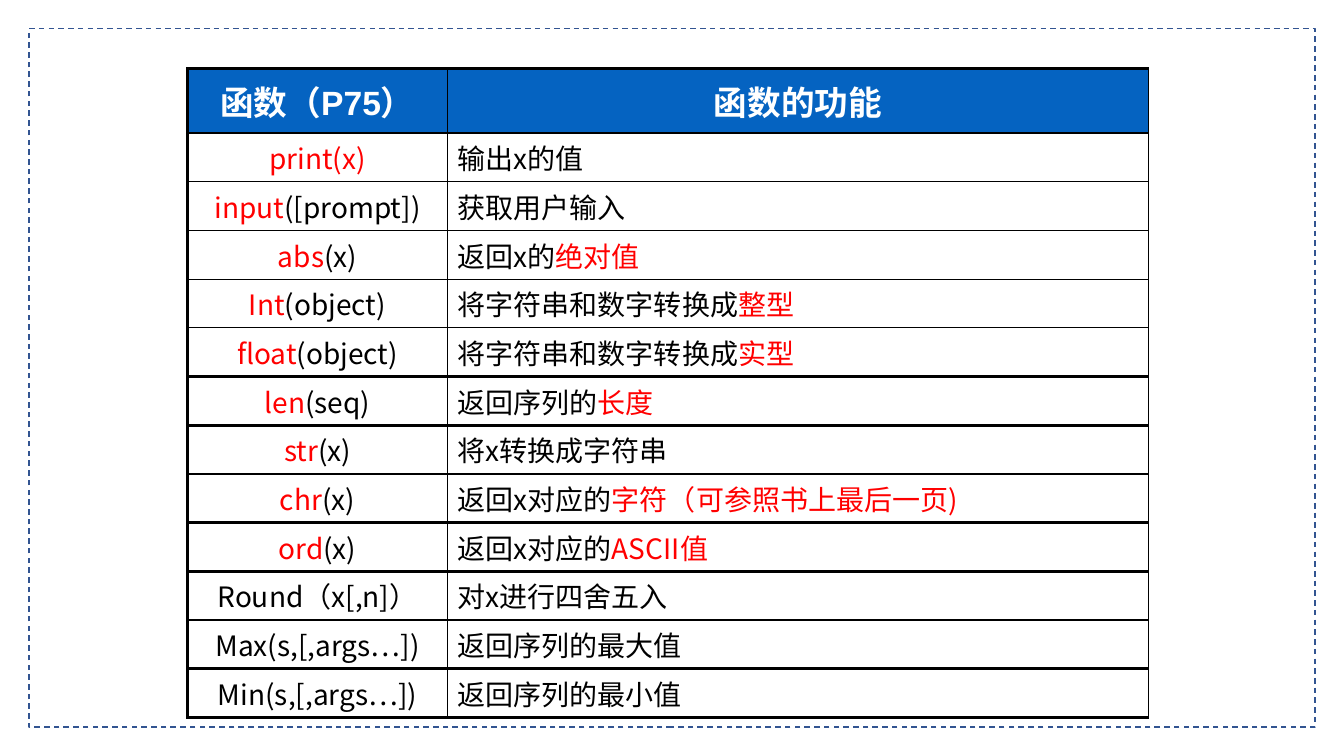
"""Build a slide with a framed table of built-in functions and what they do."""
import pptx
import pptx.dml.color
import pptx.enum.dml
import pptx.enum.shapes
import pptx.enum.text
import pptx.oxml.ns
import pptx.util
from lxml import etree

RGBColor = pptx.dml.color.RGBColor
BLACK = RGBColor(0x00, 0x00, 0x00)
WHITE = RGBColor(0xFF, 0xFF, 0xFF)
RED = RGBColor(0xFF, 0x00, 0x00)
HEADER_BLUE = RGBColor(0x05, 0x63, 0xC1)
FRAME_BLUE = RGBColor(0x32, 0x54, 0x91)

THIN, THICK = 1, 2.25
FIRST_THICK_RULE = 6

HEADINGS = ("函数（P75）", "函数的功能")
FUNCTIONS = [
    ("print(x)", "", "输出x的值", ""),
    ("input", "([prompt])", "获取用户输入", ""),
    ("abs", "(x)", "返回x的", "绝对值"),
    ("Int", "(object)", "将字符串和数字转换成", "整型"),
    ("float", "(object)", "将字符串和数字转换成", "实型"),
    ("len", "(seq)", "返回序列的", "长度"),
    ("str", "(x)", "将x转换成字符串", ""),
    ("chr", "(x)", "返回x对应的", "字符（可参照书上最后一页)"),
    ("ord", "(x)", "返回x对应的", "ASCII值"),
    ("", "Round（x[,n]）", "对x进行四舍五入", ""),
    ("", "Max(s,[,args…])", "返回序列的最大值", ""),
    ("", "Min(s,[,args…])", "返回序列的最小值", ""),
]


def add_child(parent, tag, **attributes):
    return etree.SubElement(parent, pptx.oxml.ns.qn(tag), attributes)


class SlideBuilder:
    heading_font = "Arial"
    body_font = "Noto Sans CJK SC"
    heading_size = 24
    body_size = 20

    def __init__(self, deck):
        self.width, self.height = deck.slide_width, deck.slide_height
        self.slide = deck.slides.add_slide(deck.slide_layouts[6])

    def across(self, percent):
        return round(self.width * percent / 100)

    def down(self, percent):
        return round(self.height * percent / 100)

    def frame(self, left, top):
        box = self.slide.shapes.add_shape(
            pptx.enum.shapes.MSO_SHAPE.RECTANGLE,
            self.across(left), self.down(top),
            self.across(100 - 2 * left), self.down(100 - 2 * top))
        box.shadow.inherit = False
        box.fill.background()
        box.line.color.rgb = FRAME_BLUE
        box.line.width = pptx.util.Pt(1)
        box.line.dash_style = pptx.enum.dml.MSO_LINE.DASH

    def table(self, left, top, columns, rows):
        table = self.slide.shapes.add_table(
            len(rows), len(columns), self.across(left), self.down(top),
            self.across(sum(columns)), self.down(sum(rows))).table
        table.first_row = table.horz_banding = False
        for column, share in zip(table.columns, columns):
            column.width = self.across(share)
        for row, share in zip(table.rows, rows):
            row.height = self.down(share)
        return table

    def borders(self, cell, left, right, top, bottom):
        properties = cell._tc.get_or_add_tcPr()
        for side, points in zip("LRTB", (left, right, top, bottom)):
            line = add_child(properties, f"a:ln{side}", w=str(pptx.util.Pt(points)))
            add_child(add_child(line, "a:solidFill"), "a:srgbClr", val=str(BLACK))

    def text(self, cell, spans, centred, heading):
        cell.margin_left = cell.margin_right = pptx.util.Inches(0.1)
        cell.margin_top = cell.margin_bottom = pptx.util.Inches(0.04)
        para = cell.text_frame.paragraphs[0]
        align = pptx.enum.text.PP_ALIGN
        para.alignment = align.CENTER if centred else align.LEFT
        spacing = add_child(para._p.get_or_add_pPr(), "a:spcBef")
        add_child(spacing, "a:spcPct", val="20000")
        for words, color in spans:
            if not words:
                continue
            span = para.add_run()
            span.text = words
            span.font.name = self.heading_font if heading else self.body_font
            span.font.size = pptx.util.Pt(self.heading_size if heading else self.body_size)
            span.font.bold = heading
            span.font.color.rgb = color
            add_child(span.font._element, "a:ea", typeface=self.body_font)

    def cell(self, table, row, column, spans):
        cell = table.cell(row, column)
        heading = row == 0
        above = THICK if heading or row >= FIRST_THICK_RULE else THIN
        below = THICK if row + 1 >= FIRST_THICK_RULE else THIN
        self.borders(cell, THICK if column == 0 else THIN, THIN, above, below)
        if heading:
            cell.fill.solid()
            cell.fill.fore_color.rgb = HEADER_BLUE
            cell.vertical_anchor = pptx.enum.text.MSO_ANCHOR.MIDDLE
        else:
            cell.fill.background()
        self.text(cell, spans, heading or column == 0, heading)


def main():
    deck = pptx.Presentation()
    deck.slide_width = pptx.util.Inches(13.33)
    deck.slide_height = pptx.util.Inches(7.5)
    page = SlideBuilder(deck)
    page.frame(2.15, 3.8)
    table = page.table(13.95, 9.1, [19.35, 52.15], [8.5] + [6] * len(FUNCTIONS))
    for column, heading in enumerate(HEADINGS):
        page.cell(table, 0, column, [(heading, WHITE)])
    for row, (name, arguments, purpose, result) in enumerate(FUNCTIONS, 1):
        page.cell(table, row, 0, [(name, RED), (arguments, BLACK)])
        page.cell(table, row, 1, [(purpose, BLACK), (result, RED)])
    deck.save("out.pptx")


if __name__ == "__main__":
    main()
